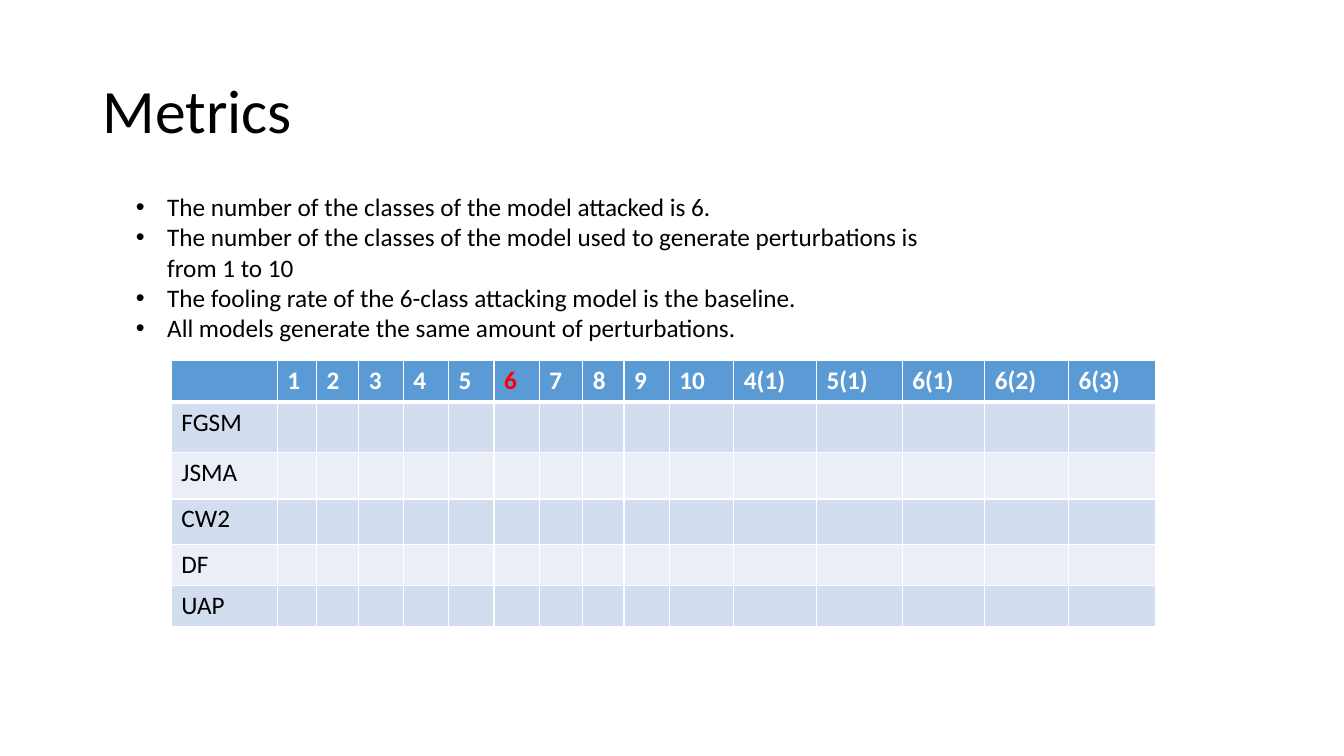
from lxml.etree import SubElement
from pptx import Presentation
from pptx.dml.color import RGBColor
from pptx.enum.text import MSO_ANCHOR
from pptx.oxml.ns import qn
from pptx.util import Inches, Pt


def style_text(para, size, color, bold=False):
    for span in para.runs:
        span.font.name = "Calibri"
        span.font.size = Pt(size)
        span.font.bold = bold
        span.font.color.rgb = RGBColor.from_string(color)


def style_cell(cell, fill, bottom_width):
    properties = cell._tc.get_or_add_tcPr()
    for side, width in {"L": 1, "R": 1, "T": 1, "B": bottom_width}.items():
        line = SubElement(properties, qn(f"a:ln{side}"), w=str(Pt(width)))
        solid = SubElement(line, qn("a:solidFill"))
        SubElement(solid, qn("a:srgbClr"), val="FFFFFF")
    cell.fill.solid()
    cell.fill.fore_color.rgb = RGBColor.from_string(fill)


deck = Presentation()
deck.slide_width, deck.slide_height = Inches(13.33), Inches(7.5)
page = deck.slides.add_slide(deck.slide_layouts[6])

# Title
title = page.shapes.add_textbox(Inches(0.92), Inches(0.4), Inches(11.5), Inches(1.45))
title.text_frame.word_wrap = True
title.text_frame.vertical_anchor = MSO_ANCHOR.MIDDLE
para = title.text_frame.paragraphs[0]
para.text = "Metrics"
para.line_spacing = 0.9
style_text(para, 44, "000000")

# Results table
methods = ["FGSM", "JSMA", "CW2", "DF", "UAP"]
models = [str(count) for count in range(1, 11)]
models += ["4(1)", "5(1)", "6(1)", "6(2)", "6(3)"]
column_widths = [1.05, 0.39, 0.42, 0.44, 0.45, 0.45, 0.45, 0.43,
                 0.41, 0.45, 0.64, 0.82, 0.85, 0.82, 0.83, 0.86]
row_heights = [0.41, 0.5, 0.46, 0.45, 0.41, 0.41]
table = page.shapes.add_table(
    len(row_heights), len(column_widths), Inches(1.7), Inches(3.58),
    Inches(sum(column_widths)), Inches(sum(row_heights))).table
for column, width in zip(table.columns, column_widths):
    column.width = Inches(width)
for row, height in zip(table.rows, row_heights):
    row.height = Inches(height)

# Header row, then banded rows with a method name in the first column
for row_index, row in enumerate(table.rows):
    header = row_index == 0
    fill = "5B9BD5" if header else ("EAEFF7", "D2DEEF")[row_index % 2]
    labels = [""] + models if header else [methods[row_index - 1]]
    for cell in row.cells:
        style_cell(cell, fill, 3 if header else 1)
    for cell, label in zip(row.cells, labels):
        para = cell.text_frame.paragraphs[0]
        para.text = label
        color = "FF0000" if label == "6" else "FFFFFF" if header else "000000"
        style_text(para, 18, color, bold=header)

# Bullet list
bullets = [
    "The number of the classes of the model attacked is 6.",
    "The number of the classes of the model used to generate perturbations is from 1 to 10",
    "The fooling rate of the 6-class attacking model is the baseline.",
    "All models generate the same amount of perturbations.",
]
box = page.shapes.add_textbox(Inches(1.25), Inches(1.85), Inches(8.41), Inches(1.61))
frame = box.text_frame
frame.word_wrap = True
for index, bullet in enumerate(bullets):
    para = frame.add_paragraph() if index else frame.paragraphs[0]
    para.text = bullet
    style_text(para, 18, "000000")
    properties = para._p.get_or_add_pPr()
    properties.set("marL", str(Inches(0.31)))
    properties.set("indent", str(-Inches(0.31)))
    SubElement(properties, qn("a:buFont"), typeface="Arial")
    SubElement(properties, qn("a:buChar"), char="•")

deck.save("out.pptx")
